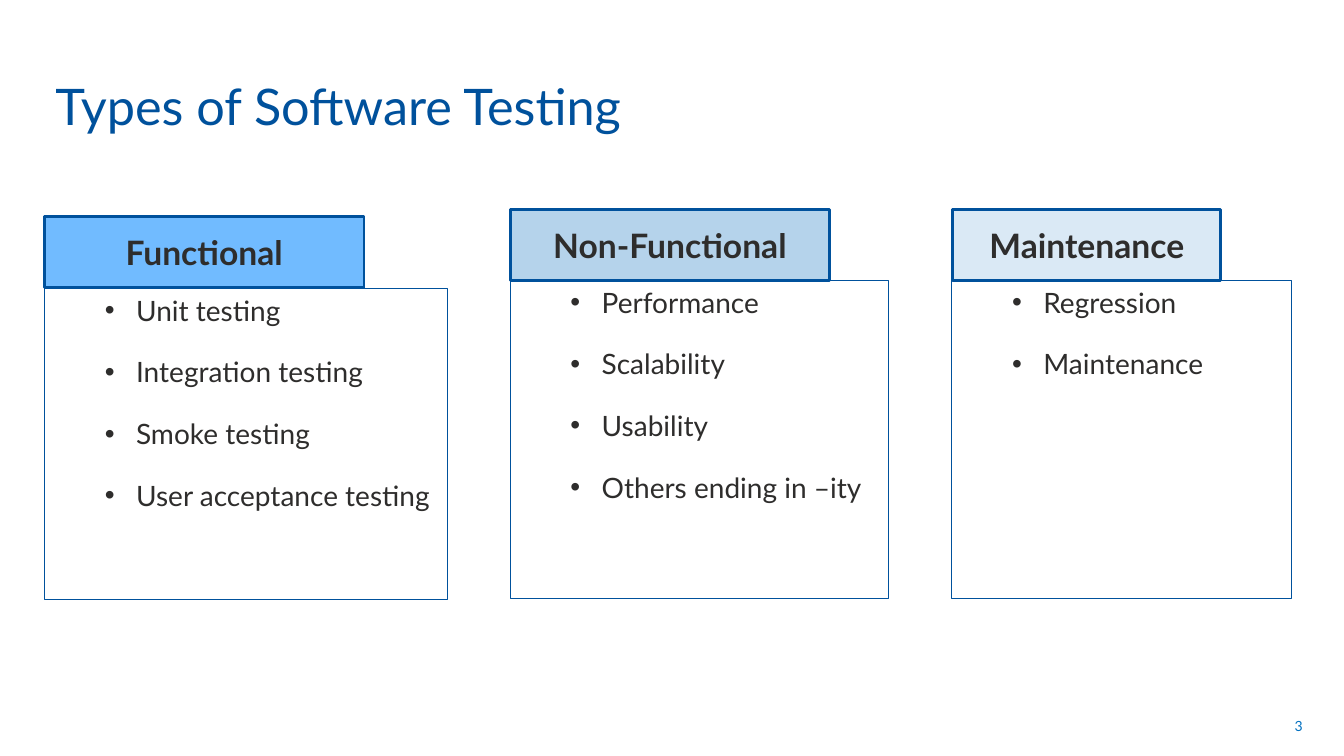
from lxml.etree import SubElement
from pptx import Presentation
from pptx.dml.color import RGBColor
from pptx.enum.shapes import MSO_SHAPE
from pptx.enum.text import MSO_ANCHOR, MSO_AUTO_SIZE, PP_ALIGN
from pptx.oxml.ns import qn
from pptx.util import Inches, Pt

BLUE = "00519C"
DARK = "2E2D2C"


def color(value):
    return RGBColor.from_string(value)


def assign(target, values):
    for name, value in values.items():
        setattr(target, name, value)


class SlideBuilder:
    font = "Lato"

    def __init__(self, slide):
        self.slide = slide

    def place(self, shape, box):
        names = ("left", "top", "width", "height")
        assign(shape, dict(zip(names, map(Inches, box))))

    def frame(self, shape, anchor):
        assign(shape.text_frame, {
            "word_wrap": True,
            "auto_size": MSO_AUTO_SIZE.NONE,
            "vertical_anchor": anchor,
        })

    def outline(self, shape, width):
        shape.line.color.rgb = color(BLUE)
        shape.line.width = Pt(width)

    def add_text(self, paragraph, text, size, ink, align=PP_ALIGN.LEFT, bold=False):
        run = paragraph.add_run()
        run.text = text
        assign(run.font, {"name": self.font, "size": Pt(size), "bold": bold})
        run.font.color.rgb = color(ink)
        paragraph.alignment = align

    def rectangle(self, box):
        shape = self.slide.shapes.add_shape(MSO_SHAPE.RECTANGLE, *map(Inches, box))
        shape.shadow.inherit = False
        return shape

    def title(self, box, text):
        shape = self.slide.shapes.title
        self.place(shape, box)
        self.frame(shape, MSO_ANCHOR.BOTTOM)
        self.add_text(shape.text_frame.paragraphs[0], text, 36, BLUE)

    def heading(self, box, text, fill):
        shape = self.rectangle(box)
        shape.fill.solid()
        shape.fill.fore_color.rgb = color(fill)
        self.outline(shape, 2)
        self.frame(shape, MSO_ANCHOR.MIDDLE)
        self.add_text(shape.text_frame.paragraphs[0], text, 24, DARK, PP_ALIGN.CENTER, True)

    def bullet(self, paragraph):
        properties = paragraph._p.get_or_add_pPr()
        properties.set("marL", str(Inches(0.81)))
        properties.set("indent", str(Inches(-0.31)))
        bullet_color = SubElement(properties, qn("a:buClr"))
        SubElement(bullet_color, qn("a:srgbClr"), val=DARK)
        SubElement(properties, qn("a:buFont"), typeface="Arial")
        SubElement(properties, qn("a:buChar"), char="•")

    def bullet_list(self, box, items, placeholder=None):
        shape = placeholder or self.rectangle(box)
        self.place(shape, box)
        shape.fill.background()
        self.outline(shape, 0.75)
        self.frame(shape, MSO_ANCHOR.TOP)
        text_frame = shape.text_frame
        for index, item in enumerate(items):
            paragraph = text_frame.add_paragraph() if index else text_frame.paragraphs[0]
            assign(paragraph, {"level": 1, "space_before": Pt(10), "space_after": Pt(10)})
            self.add_text(paragraph, item, 20, DARK)
            self.bullet(paragraph)

    def page_number(self, box, text):
        shape = self.slide.shapes.add_textbox(*map(Inches, box))
        self.frame(shape, MSO_ANCHOR.MIDDLE)
        self.add_text(shape.text_frame.paragraphs[0], text, 10, "0070C0", PP_ALIGN.RIGHT)


def main():
    presentation = Presentation()
    assign(presentation, {"slide_width": Inches(13.33), "slide_height": Inches(7.5)})
    slide = presentation.slides.add_slide(presentation.slide_layouts[1])
    builder = SlideBuilder(slide)
    builder.title((0.45, 0.14, 9.98, 1.26), "Types of Software Testing")
    columns = [
        ("Functional", "71BBFF", (0.44, 2.15, 3.17, 0.7), (0.44, 2.86, 4, 3.09),
         ["Unit testing", "Integration testing", "Smoke testing", "User acceptance testing"],
         slide.placeholders[1]),
        ("Non-Functional", "B5D3EB", (5.06, 2.08, 3.17, 0.7), (5.06, 2.78, 3.75, 3.16),
         ["Performance", "Scalability", "Usability", "Others ending in –ity"], None),
        ("Maintenance", "DAE9F5", (9.45, 2.08, 2.66, 0.7), (9.44, 2.78, 3.37, 3.16),
         ["Regression", "Maintenance"], None),
    ]
    for name, fill, heading_box, list_box, items, placeholder in columns:
        builder.bullet_list(list_box, items, placeholder)
        builder.heading(heading_box, name, fill)
    builder.page_number((9.91, 7, 3.11, 0.4), "3")
    presentation.save("out.pptx")


if __name__ == "__main__":
    main()
